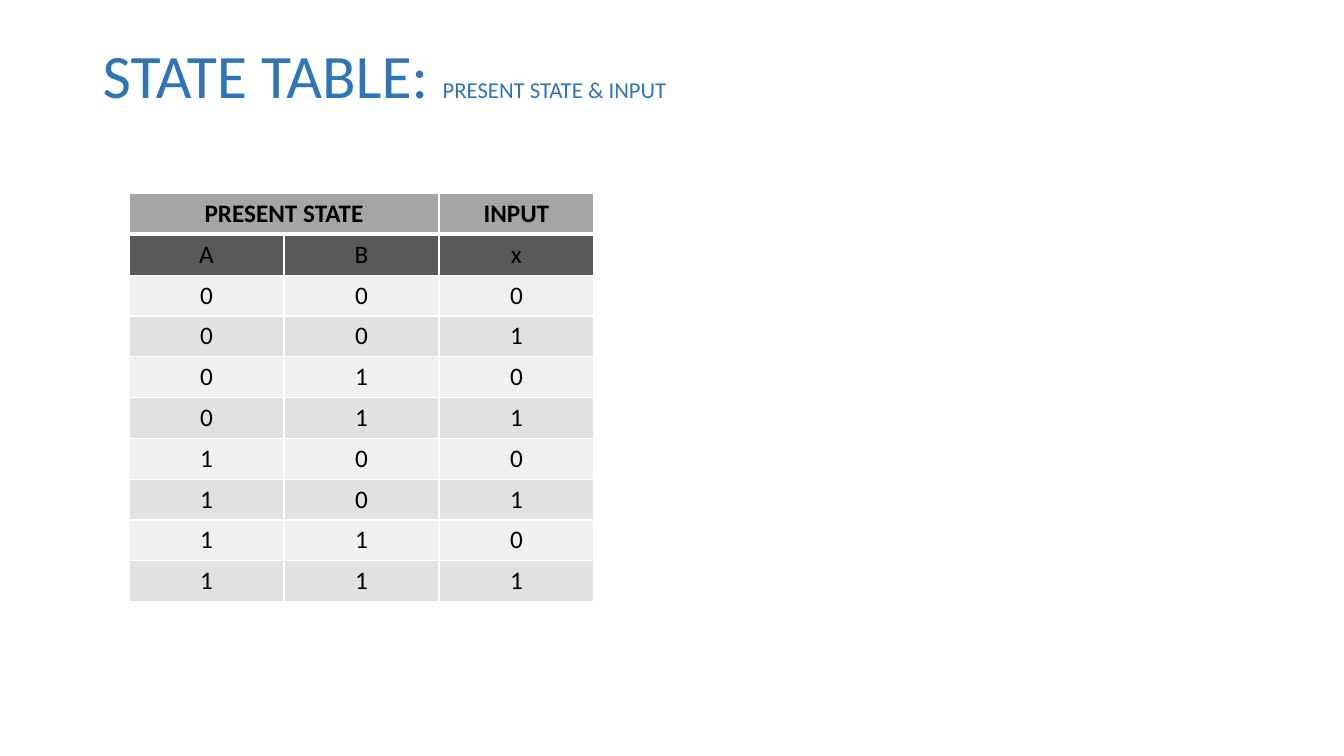
"""Build a slide with the present state and input columns of a state table."""
from itertools import product

from lxml.etree import SubElement
from pptx import Presentation
from pptx.dml.color import RGBColor
from pptx.enum.text import MSO_ANCHOR, PP_ALIGN
from pptx.oxml.ns import qn
from pptx.util import Inches, Pt

BLUE = RGBColor(0x2E, 0x75, 0xB6)
BLACK = RGBColor(0x00, 0x00, 0x00)
HEADER = RGBColor(0xA5, 0xA5, 0xA5)
SUBHEADER = RGBColor(0x59, 0x59, 0x59)
BANDS = [RGBColor(0xF0, 0xF0, 0xF0), RGBColor(0xE1, 0xE1, 0xE1)]
WHITE = RGBColor(0xFF, 0xFF, 0xFF)


def add_text(p, text, size=18, color=BLACK, bold=False):
    r = p.add_run()
    r.text = text
    r.font.name = "Calibri"
    r.font.size = Pt(size)
    r.font.color.rgb = color
    r.font.bold = bold


def set_borders(cell, **widths):
    tc_pr = cell._tc.get_or_add_tcPr()
    for i, side in enumerate("LRTB"):
        ln = SubElement(tc_pr, qn(f"a:ln{side}"), w=str(Pt(widths.get(side, 1))))
        fill = SubElement(ln, qn("a:solidFill"))
        SubElement(fill, qn("a:srgbClr"), val=str(WHITE))
        tc_pr.insert(i, ln)


prs = Presentation()
prs.slide_width, prs.slide_height = Inches(13.33), Inches(7.5)
s = prs.slides.add_slide(prs.slide_layouts[6])

title = s.shapes.add_textbox(Inches(0.92), Inches(0.4), Inches(11.5), Inches(1.03))
tf = title.text_frame
tf.word_wrap = True
tf.vertical_anchor = MSO_ANCHOR.TOP
p = tf.paragraphs[0]
p.line_spacing = 0.9
add_text(p, "STATE TABLE: ", size=44.1, color=BLUE)
add_text(p, "PRESENT STATE & INPUT", size=16.2, color=BLUE)

rows = [("PRESENT STATE", "", "INPUT"), ("A", "B", "x"), *product("01", repeat=3)]
fills = [HEADER, SUBHEADER] + BANDS * 4
table = s.shapes.add_table(len(rows), 3, Inches(1.28), Inches(1.92),
                           Inches(4.61), Inches(4.05)).table
table.first_row = table.horz_banding = False
table.cell(0, 0).merge(table.cell(0, 1))

for i, (row, fill) in enumerate(zip(rows, fills)):
    for j, text in enumerate(row):
        cell = table.cell(i, j)
        cell.fill.solid()
        cell.fill.fore_color.rgb = fill
        cell.vertical_anchor = MSO_ANCHOR.MIDDLE
        set_borders(cell, T=3 if i == 1 else 1, B=3 if i == 0 else 1)
        if text:
            p = cell.text_frame.paragraphs[0]
            p.alignment = PP_ALIGN.CENTER
            add_text(p, text, bold=i == 0)

prs.save("out.pptx")
